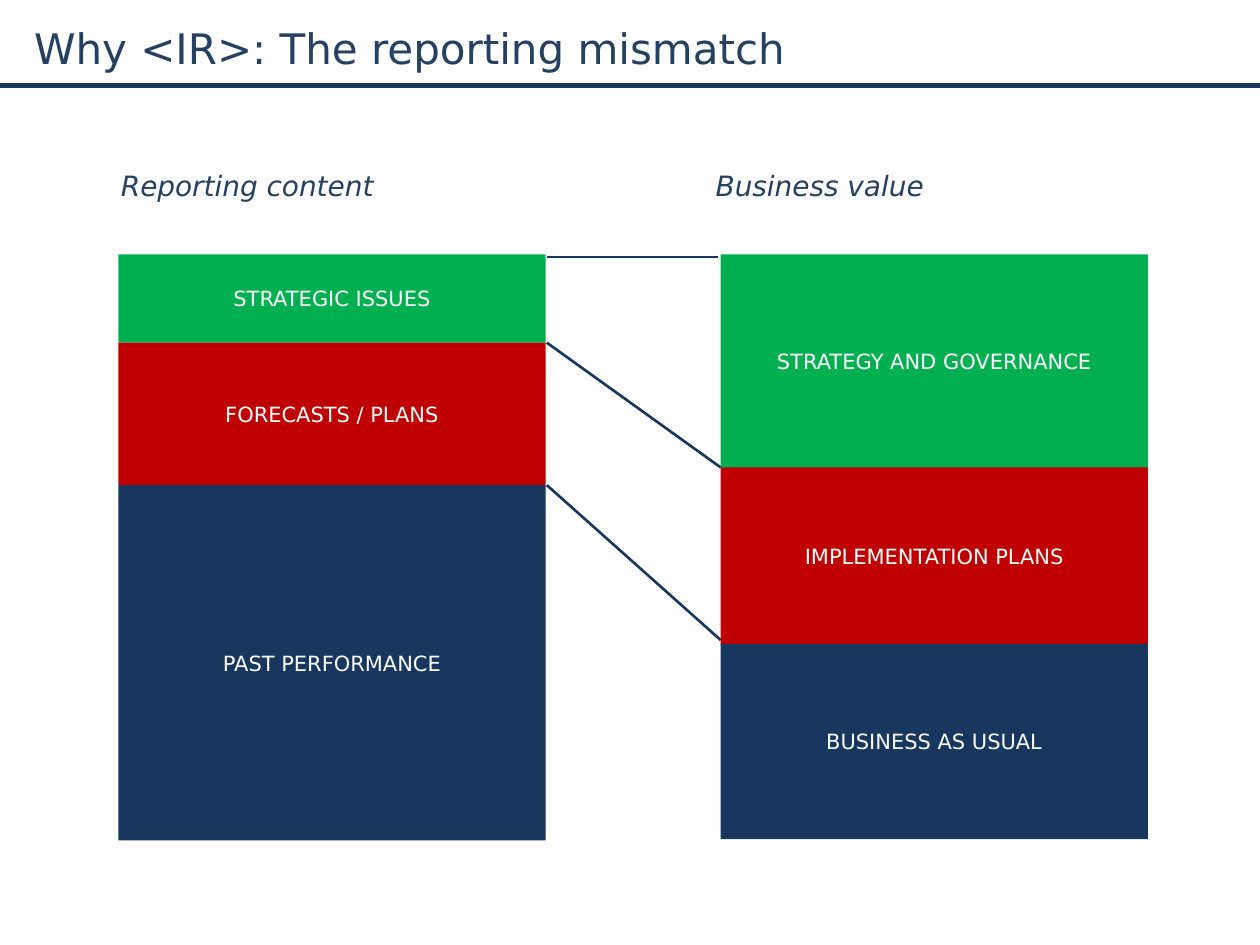
from lxml import etree
from pptx import Presentation
from pptx.dml.color import RGBColor
from pptx.enum.shapes import MSO_CONNECTOR, MSO_SHAPE
from pptx.enum.text import MSO_ANCHOR, PP_ALIGN
from pptx.oxml.ns import qn
from pptx.util import Inches, Pt

NAVY, INK, GREEN, RED, WHITE = "17375E", "254061", "00B050", "C00000", "FFFFFF"


def style_text(shape, text, size, color, align=PP_ALIGN.LEFT, italic=False):
    tf = shape.text_frame
    tf.word_wrap = True
    tf.text = text
    p = tf.paragraphs[0]
    p.alignment = align
    font = p.runs[0].font
    font.name = "DejaVu Sans"
    font.size = Pt(size)
    font.italic = italic
    font.color.rgb = RGBColor.from_string(color)


def add_line(x1, y1, x2, y2, width):
    line = s.shapes.add_connector(MSO_CONNECTOR.STRAIGHT, Inches(x1), Inches(y1),
                                  Inches(x2), Inches(y2))
    line.line.color.rgb = RGBColor.from_string(NAVY)
    line.line.width = Pt(width)
    etree.SubElement(line._element.spPr, qn("a:effectLst"))


prs = Presentation()
prs.slide_width, prs.slide_height = Inches(10), Inches(7.5)
s = prs.slides.add_slide(prs.slide_layouts[5])

title = s.shapes.title
title.left, title.top = Inches(0.17), Inches(0.13)
title.width, title.height = Inches(6.33), Inches(0.5)
title.text_frame.vertical_anchor = MSO_ANCHOR.TOP
style_text(title, "Why <IR>: The reporting mismatch", 24, INK)
add_line(0, 0.68, 10, 0.68, 3)

# Each column: heading, heading left, stack left, (label, top, height) from the top down
columns = [
    ("Business value", 5.68, 5.72, [("STRATEGY AND GOVERNANCE", 2.02, 1.7),
                                    ("IMPLEMENTATION PLANS", 3.71, 1.41),
                                    ("BUSINESS AS USUAL", 5.11, 1.55)]),
    ("Reporting content", 0.96, 0.94, [("STRATEGIC ISSUES", 2.02, 0.7),
                                       ("FORECASTS / PLANS", 2.72, 1.13),
                                       ("PAST PERFORMANCE", 3.85, 2.82)]),
]
for heading, heading_left, left, blocks in columns:
    for (label, top, height), color in zip(blocks, (GREEN, RED, NAVY)):
        sp = s.shapes.add_shape(MSO_SHAPE.RECTANGLE, Inches(left), Inches(top),
                                Inches(3.39), Inches(height))
        sp.shadow.inherit = False
        sp.fill.solid()
        sp.fill.fore_color.rgb = RGBColor.from_string(color)
        sp.line.fill.background()
        sp.text_frame.vertical_anchor = MSO_ANCHOR.MIDDLE
        style_text(sp, label, 12, WHITE, PP_ALIGN.CENTER)

    box = s.shapes.add_textbox(Inches(heading_left), Inches(1.34), Inches(4.16), Inches(0.7))
    tf = box.text_frame
    tf.margin_left = tf.margin_top = tf.margin_right = tf.margin_bottom = 0
    style_text(box, heading, 16, INK, italic=True)

# Links between matching block boundaries of the two stacks
for y1, x2, y2 in [(3.85, 5.72, 5.08), (2.72, 5.72, 3.71), (2.04, 5.7, 2.04)]:
    add_line(4.34, y1, x2, y2, 1.5)

prs.save("out.pptx")
